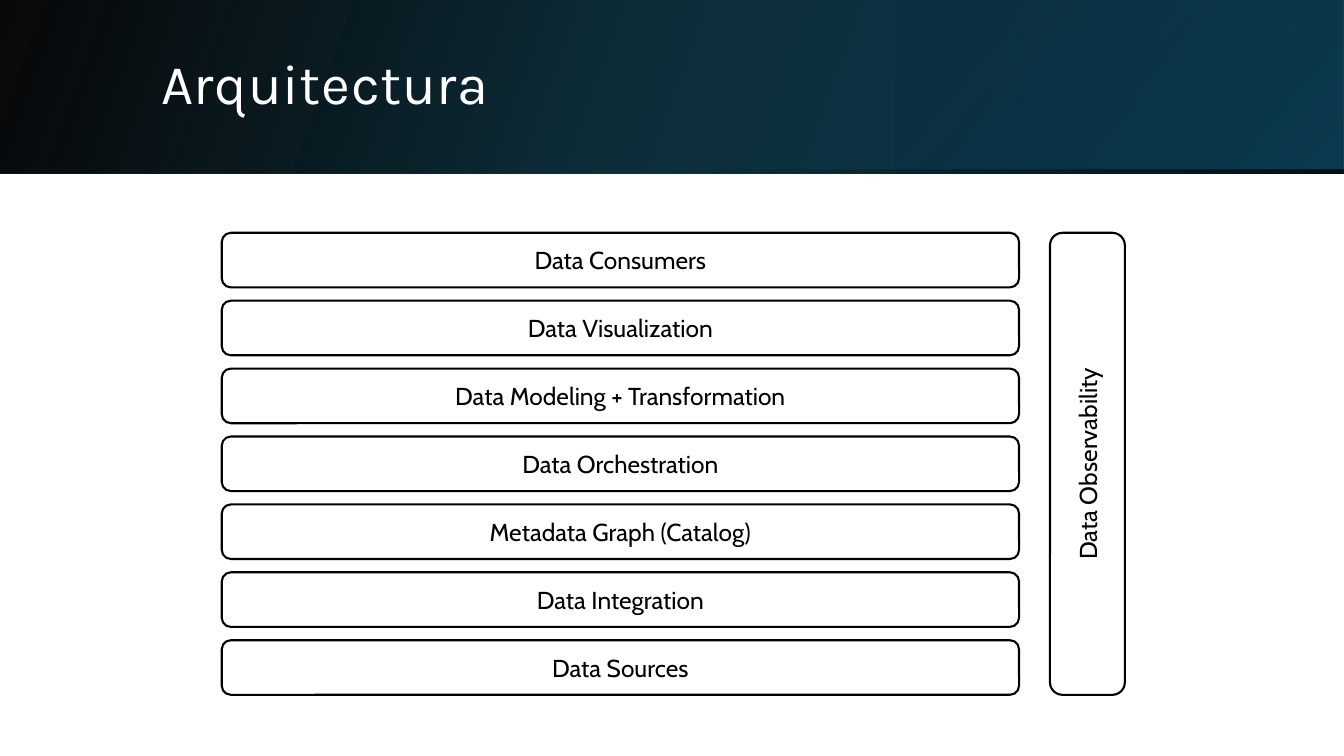
"""Build the architecture slide: a gradient title band above a stack of data layers."""
from lxml.etree import SubElement
from pptx import Presentation
from pptx.dml.color import RGBColor
from pptx.enum.shapes import MSO_SHAPE as Preset
from pptx.enum.text import MSO_ANCHOR as Anchor, PP_ALIGN as Align
from pptx.oxml.ns import qn
from pptx.util import Pt

COLORS = {
    "black": "000000", "white": "FFFFFF", "teal": "0D2C38",
    "navy": "0B3041", "ocean": "0C3B50", "blue": "0B3A50",
}
LAYERS = [
    "Data Consumers", "Data Visualization", "Data Modeling + Transformation",
    "Data Orchestration", "Metadata Graph (Catalog)", "Data Integration",
    "Data Sources",
]
SLIDE_WIDTH, SLIDE_HEIGHT = 960, 540
BAND_HEIGHT = 124
STACK_LEFT, STACK_TOP = 158.4, 166.3
LAYER_WIDTH, LAYER_HEIGHT, LAYER_PITCH = 569.5, 39, 48.5
SIDE_LEFT, SIDE_WIDTH = 750, 53.5


def color(name):
    return RGBColor.from_string(COLORS[name])


def add_gradient(slide, left, width, angle, stops):
    """Add a band piece; each stop is (percent, color name, opacity percent)."""
    shape = slide.shapes.add_shape(
        Preset.RECTANGLE, Pt(left), Pt(0), Pt(width), Pt(BAND_HEIGHT))
    shape.shadow.inherit = False
    shape.line.fill.background()
    shape.fill.gradient()
    shape.fill.gradient_angle = angle
    stop_list = shape.element.spPr.find(qn("a:gradFill")).find(qn("a:gsLst"))
    for old_stop in list(stop_list):
        stop_list.remove(old_stop)
    for percent, name, opacity in stops:
        stop = SubElement(stop_list, qn("a:gs"), pos=str(percent * 1000))
        fill = SubElement(stop, qn("a:srgbClr"), val=COLORS[name])
        SubElement(fill, qn("a:alpha"), val=str(opacity * 1000))


def add_title(slide, text):
    box = slide.shapes.add_textbox(Pt(108), Pt(27.4), Pt(790.6), Pt(69))
    frame = box.text_frame
    frame.word_wrap = True
    frame.vertical_anchor = Anchor.MIDDLE
    paragraph = frame.paragraphs[0]
    paragraph.line_spacing = 0.9
    run = paragraph.add_run()
    run.text = text
    run.font.name = "Karla"
    run.font.size = Pt(40)
    run.font.color.rgb = color("white")
    run.font._element.set("spc", "50")


def add_box(group, text, left, top, width, height, rotation=0):
    shape = group.shapes.add_shape(
        Preset.ROUNDED_RECTANGLE, Pt(left), Pt(top), Pt(width), Pt(height))
    shape.rotation = rotation
    shape.shadow.inherit = False
    shape.fill.solid()
    shape.fill.fore_color.rgb = color("white")
    shape.line.color.rgb = color("black")
    shape.line.width = Pt(1.5)
    frame = shape.text_frame
    frame.word_wrap = True
    frame.vertical_anchor = Anchor.MIDDLE
    paragraph = frame.paragraphs[0]
    paragraph.text = text
    paragraph.alignment = Align.CENTER
    paragraph.space_after = Pt(6)
    paragraph.font.name = "Cabin"
    paragraph.font.size = Pt(17.5)
    paragraph.font.color.rgb = color("black")


def add_stack(slide):
    """Add the layers and the turned box that spans their full height."""
    group = slide.shapes.add_group_shape()
    for index, layer in enumerate(LAYERS):
        add_box(group, layer, STACK_LEFT, STACK_TOP + index * LAYER_PITCH,
                LAYER_WIDTH, LAYER_HEIGHT)
    span = (len(LAYERS) - 1) * LAYER_PITCH + LAYER_HEIGHT
    add_box(group, "Data Observability",
            SIDE_LEFT + (SIDE_WIDTH - span) / 2,
            STACK_TOP + (span - SIDE_WIDTH) / 2,
            span, SIDE_WIDTH, rotation=270)


def main():
    presentation = Presentation()
    presentation.slide_width = Pt(SLIDE_WIDTH)
    presentation.slide_height = Pt(SLIDE_HEIGHT)
    slide = presentation.slides.add_slide(presentation.slide_layouts[6])
    add_gradient(slide, 0, SLIDE_WIDTH, 340,
                 [(0, "black", 96), (45, "teal", 100), (100, "ocean", 100)])
    add_gradient(slide, 640, 320, 320,
                 [(19, "navy", 68), (100, "blue", 79)])
    add_gradient(slide, 0, SLIDE_WIDTH, 280,
                 [(70, "black", 0), (100, "black", 74)])
    add_title(slide, "Arquitectura")
    add_stack(slide)
    presentation.save("out.pptx")


if __name__ == "__main__":
    main()
